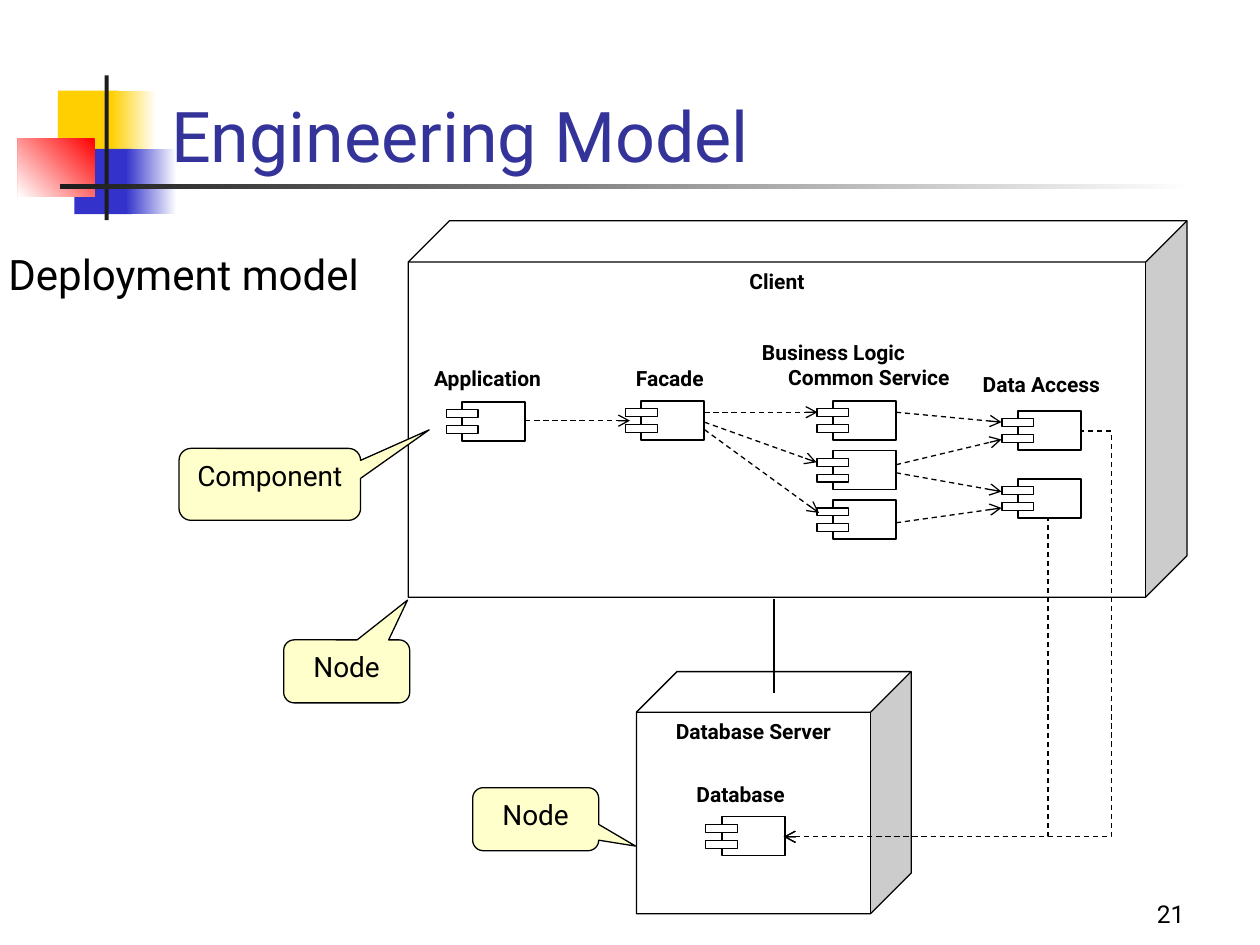
import pptx
import pptx.util
import pptx.dml.color
import pptx.enum.dml
import pptx.enum.shapes
import pptx.enum.text
import pptx.oxml.ns
import pptx.oxml.xmlchemy

Cm = pptx.util.Cm
Pt = pptx.util.Pt
RGB = pptx.dml.color.RGBColor.from_string
MSO = pptx.enum.shapes.MSO_SHAPE
CONN = pptx.enum.shapes.MSO_CONNECTOR
ALIGN = pptx.enum.text.PP_ALIGN
ANCHOR = pptx.enum.text.MSO_ANCHOR
qn = pptx.oxml.ns.qn
OxmlElement = pptx.oxml.xmlchemy.OxmlElement

C = {"yellow": "FFCF01", "blue": "3333CC", "red": "FF0000", "dark": "1C1C1C",
     "white": "FFFFFF", "black": "000000", "title": "333399", "note": "FFFFCC"}


def add_box(shapes, kind, pos, fill, line=None):
    sp = shapes.add_shape(kind, *[Cm(v) for v in pos])
    sp.shadow.inherit = False
    sp.fill.solid()
    sp.fill.fore_color.rgb = RGB(C[fill])
    if line:
        sp.line.color.rgb = RGB(C["black"])
        sp.line.width = Pt(line)
    else:
        sp.line.fill.background()
    return sp


def write(sp, text, size, bold=False, align=ALIGN.LEFT, anchor=ANCHOR.TOP,
          color="black", inset=(0.25, 0.13), wrap=True):
    tf = sp.text_frame
    tf.word_wrap = wrap
    tf.auto_size = pptx.enum.text.MSO_AUTO_SIZE.NONE
    tf.vertical_anchor = anchor
    tf.margin_left = tf.margin_right = Cm(inset[0])
    tf.margin_top = tf.margin_bottom = Cm(inset[1])
    tf.text = text
    for p in tf.paragraphs:
        p.alignment = align
        p.font.name = "Roboto"
        p.font.size = Pt(size)
        p.font.bold = bold
        p.font.color.rgb = RGB(C[color])
    return tf


prs = pptx.Presentation()
prs.slide_width = Cm(25.4)
prs.slide_height = Cm(19.05)
s = prs.slides.add_slide(prs.slide_layouts[5])

for pos, colors, angle in [
    ((1.17, 1.83, 1.22, 1.32), ["yellow"], 0),
    ((2.24, 1.83, 0.91, 1.32), ["white", "yellow"], 180),
    ((1.5, 3, 1.17, 1.32), ["blue"], 0),
    ((2.54, 3, 1.02, 1.32), ["white", "blue"], 180),
    ((0.36, 2.79, 1.55, 1.17), ["red", "white"], 225),
    ((2.11, 1.52, 0.08, 2.92), ["dark"], 0),
    ((1.22, 3.71, 22.86, 0.1), ["white", "dark"], 180),
]:
    sp = add_box(s.shapes, MSO.RECTANGLE, pos, colors[0])
    if len(colors) > 1:
        sp.fill.gradient()
        sp.fill.gradient_angle = angle
        for stop, color in zip(sp.fill.gradient_stops, colors):
            stop.color.rgb = RGB(C[color])

title = s.shapes.title
title.left, title.top, title.width, title.height = Cm(3.2), Cm(1.32), Cm(21.64), Cm(2.36)
write(title, "Engineering Model", 40, anchor=ANCHOR.BOTTOM, color="title")
s.shapes._spTree.append(title._element)

for text, pos, depth in [
    ("Database Server", (12.83, 13.54, 5.54, 4.88), 0.168),
    ("Client", (8.23, 4.45, 15.7, 7.59), 0.11),
]:
    sp = add_box(s.shapes, MSO.CUBE, pos, "white", 0.75)
    sp.adjustments[0] = depth
    write(sp, text, 12, True, ALIGN.CENTER, wrap=False)

for text, pos, align in [
    ("Database", (13.89, 15.67, 3, 0.66), ALIGN.LEFT),
    ("Data Access", (19.66, 7.42, 3.86, 0.66), ALIGN.LEFT),
    ("Business Logic\nCommon Service", (15.21, 6.76, 4.29, 1.68), ALIGN.LEFT),
    ("Facade", (12.67, 7.29, 4.06, 0.66), ALIGN.LEFT),
    ("Application", (7.8, 7.29, 4.06, 0.66), ALIGN.CENTER),
]:
    sp = s.shapes.add_textbox(*[Cm(v) for v in pos])
    tf = write(sp, text, 12, True, align, inset=(0.15, 0.08))
    for p in tf.paragraphs[1:]:
        p._p.get_or_add_pPr().set("marL", str(Cm(0.53)))

for x, y in [(20.52, 8.28), (20.52, 9.65), (16.79, 8.08), (16.79, 9.08),
             (16.79, 10.08), (12.93, 8.08), (9.32, 8.1), (14.55, 16.46)]:
    group = s.shapes.add_group_shape()
    add_box(group.shapes, MSO.RECTANGLE, (x, y, 1.27, 0.79), "white", 1)
    for dy in (0.16, 0.48):
        add_box(group.shapes, MSO.RECTANGLE, (x - 0.32, y + dy, 0.64, 0.16), "white", 0.75)

for ends, arrow, bend in [
    ((14.2, 8.31, 16.48, 8.31), "tailEnd", None),
    ((14.2, 8.51, 16.46, 9.32), "tailEnd", None),
    ((14.2, 8.66, 16.51, 10.34), "tailEnd", None),
    ((18.06, 8.31, 20.19, 8.51), "tailEnd", None),
    ((18.06, 9.53, 20.19, 9.91), "tailEnd", None),
    ((18.06, 9.37, 20.19, 8.86), "tailEnd", None),
    ((18.06, 10.54, 20.19, 10.24), "tailEnd", None),
    ((10.59, 8.48, 12.7, 8.48), "tailEnd", None),
    ((15.6, 12.07, 15.6, 13.97), None, None),
    ((15.8, 16.87, 21.13, 10.46), "headEnd", 100000),
    ((15.8, 16.87, 21.77, 8.69), "headEnd", 110600),
]:
    kind = CONN.ELBOW if bend else CONN.STRAIGHT
    cx = s.shapes.add_connector(kind, *[Cm(v) for v in ends])
    cx.line.color.rgb = RGB(C["black"])
    cx.line.width = Pt(0.75 if arrow else 1)
    spPr = cx._element.spPr
    if arrow:
        cx.line.dash_style = pptx.enum.dml.MSO_LINE.DASH
        end = OxmlElement("a:" + arrow)
        end.set("type", "arrow")
        spPr.find(qn("a:ln")).append(end)
    if bend:
        gd = OxmlElement("a:gd")
        gd.set("name", "adj1")
        gd.set("fmla", f"val {bend}")
        spPr.find(qn("a:prstGeom")).find(qn("a:avLst")).append(gd)
    spPr.append(OxmlElement("a:effectLst"))

sp = s.shapes.add_textbox(Cm(-0.08), Cm(4.88), Cm(8.13), Cm(1.27))
write(sp, "Deployment model", 24)

for text, pos, tip in [
    ("Node", (5.72, 12.9, 2.54, 1.27), (0.483, -1.132)),
    ("Node", (9.53, 15.88, 2.54, 1.27), (0.793, 0.427)),
    ("Component", (3.61, 9.04, 3.66, 1.45), (0.878, -0.758)),
]:
    sp = add_box(s.shapes, MSO.ROUNDED_RECTANGULAR_CALLOUT, pos, "note", 0.75)
    sp.adjustments[0], sp.adjustments[1] = tip
    write(sp, text, 16, align=ALIGN.CENTER)

sp = s.shapes.add_textbox(Cm(18.85), Cm(17.58), Cm(5.28), Cm(1.27))
write(sp, "21", 14, align=ALIGN.RIGHT, anchor=ANCHOR.BOTTOM)

prs.save("out.pptx")
